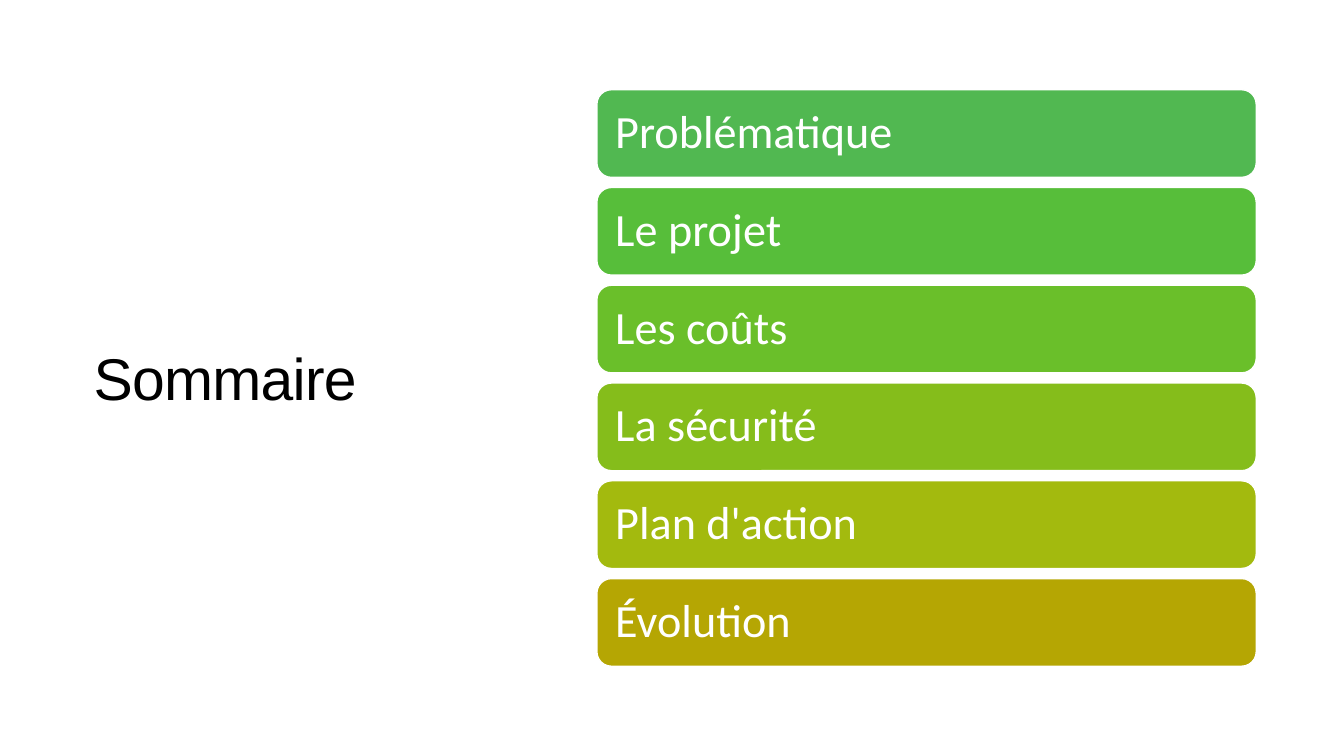
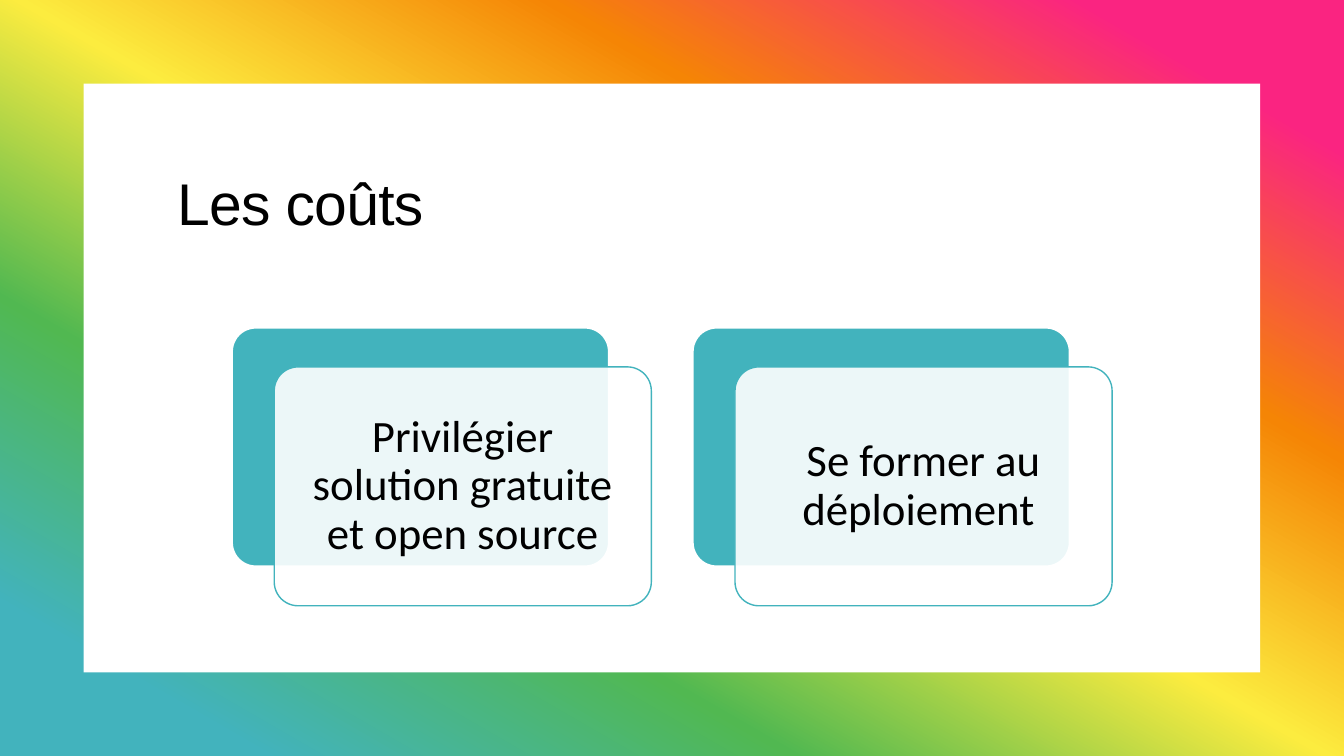
"""Build the summary and cost slides of a project presentation."""
from dataclasses import dataclass

from lxml import etree
from pptx import Presentation
from pptx.dml.color import RGBColor
from pptx.enum.shapes import MSO_SHAPE
from pptx.enum.text import MSO_ANCHOR, PP_ALIGN
from pptx.oxml.ns import qn
from pptx.util import Inches, Pt

RECT = MSO_SHAPE.RECTANGLE
ROUND = MSO_SHAPE.ROUNDED_RECTANGLE
TOP, MIDDLE = MSO_ANCHOR.TOP, MSO_ANCHOR.MIDDLE
LEFT, CENTER = PP_ALIGN.LEFT, PP_ALIGN.CENTER

SLIDE_W, SLIDE_H = 13.33, 7.5
TITLE_FONT, BODY_FONT = "Arial", "Calibri"

COLORS = {
    "white": "FFFFFF",
    "black": "000000",
    "pink": "FA2481",
    "orange": "F58505",
    "yellow": "FCEC3F",
    "green": "51B851",
    "teal": "42B3BD",
    "leaf": "57BE3A",
    "lime": "6ABF2A",
    "apple": "85BD1B",
    "olive": "A3BA0E",
    "mustard": "B5A603",
}
RAINBOW = ((10, "pink"), (30, "orange"), (50, "yellow"), (70, "green"), (90, "teal"))


@dataclass(frozen=True)
class Box:
    """Hold a position and size in inches."""
    x: float
    y: float
    w: float
    h: float

    def moved(self, dx: float, dy: float) -> "Box":
        """Return the same box shifted by dx and dy."""
        return Box(self.x + dx, self.y + dy, self.w, self.h)

    def lengths(self) -> tuple:
        """Return left, top, width and height as lengths."""
        return tuple(Inches(v) for v in (self.x, self.y, self.w, self.h))


@dataclass(frozen=True)
class Topic:
    """Hold one line of the summary."""
    text: str
    color: str


PAGE = Box(0, 0, SLIDE_W, SLIDE_H)
PANEL = Box(0.83, 0.83, 11.67, 5.84)
FIRST_BAR, BAR_PITCH = Box(5.92, 0.89, 6.54, 0.87), 0.97
FIRST_CARD, CARD_PITCH = Box(2.3, 3.25, 3.74, 2.37), 4.57
CARD_SHIFT = (0.42, 0.39)

TOPICS = (
    Topic("Problématique", "green"),
    Topic("Le projet", "leaf"),
    Topic("Les coûts", "lime"),
    Topic("La sécurité", "apple"),
    Topic("Plan d'action", "olive"),
    Topic("Évolution", "mustard"),
)
COSTS = ("Privilégier solution gratuite et open source", "Se former au déploiement ")


def rgb(name: str) -> RGBColor:
    """Return the named colour."""
    return RGBColor.from_string(COLORS[name])


def add_box(s, box: Box, kind=RECT, fill: str = "white", line: str | None = None,
            width: float = 1, adj: float | None = None, opacity: int = 100):
    """Draw a filled shape with an optional outline."""
    sp = s.shapes.add_shape(kind, *box.lengths())
    sp.shadow.inherit = False
    sp.fill.solid()
    sp.fill.fore_color.rgb = rgb(fill)
    if opacity < 100:
        clr = sp.element.spPr.find(qn("a:solidFill")).find(qn("a:srgbClr"))
        etree.SubElement(clr, qn("a:alpha"), val=str(opacity * 1000))
    if line:
        sp.line.color.rgb = rgb(line)
        sp.line.width = Pt(width)
    else:
        sp.line.fill.background()
    if adj is not None:
        sp.adjustments[0] = adj
    return sp


def fill_rainbow(sp) -> None:
    """Fill a shape with the rainbow gradient."""
    sp.fill.gradient()
    sp.fill.gradient_angle = 240
    stops = sp.element.spPr.find(qn("a:gradFill")).find(qn("a:gsLst"))
    for gs in list(stops):
        stops.remove(gs)
    for pos, name in RAINBOW:
        gs = etree.SubElement(stops, qn("a:gs"), pos=str(pos * 1000))
        etree.SubElement(gs, qn("a:srgbClr"), val=COLORS[name])


def write(sp, text: str, size: float, font: str = BODY_FONT, color: str = "black",
          align=LEFT, anchor=MIDDLE, spacing: float = 0.9,
          inset: tuple[float, float] = (0.1, 0.05), tracking: float = 0) -> None:
    """Put one formatted paragraph into a shape."""
    tf = sp.text_frame
    tf.word_wrap = True
    tf.vertical_anchor = anchor
    tf.margin_left = tf.margin_right = Inches(inset[0])
    tf.margin_top = tf.margin_bottom = Inches(inset[1])
    p = tf.paragraphs[0]
    p.alignment = align
    p.line_spacing = spacing
    r = p.add_run()
    r.text = text
    r.font.size = Pt(size)
    r.font.name = font
    r.font.color.rgb = rgb(color)
    if tracking:
        r.font._element.set("spc", str(round(tracking * 100)))


def add_title(s, text: str, box: Box, anchor=TOP) -> None:
    """Write the slide title."""
    write(s.shapes.add_textbox(*box.lengths()), text, 42, font=TITLE_FONT,
          anchor=anchor, spacing=0.95, tracking=-0.5)


def add_summary(s) -> None:
    """Draw the summary slide with one bar per topic."""
    add_title(s, "Sommaire", Box(0.83, 0.85, 4.27, 5.84), anchor=MIDDLE)
    for i, topic in enumerate(TOPICS):
        bar = add_box(s, FIRST_BAR.moved(0, i * BAR_PITCH), ROUND,
                      fill=topic.color, line="white")
        write(bar, topic.text, 33, color="white", inset=(0.14, 0.14))


def add_costs(s) -> None:
    """Draw the cost slide with one layered card per point."""
    fill_rainbow(add_box(s, PAGE))
    add_box(s, PANEL)
    add_title(s, "Les coûts", Box(1.66, 1.66, 10, 1.47))
    for i, text in enumerate(COSTS):
        back = FIRST_CARD.moved(i * CARD_PITCH, 0)
        add_box(s, back, ROUND, fill="teal", line="white", width=1.5, adj=0.1)
        card = add_box(s, back.moved(*CARD_SHIFT), ROUND, line="teal",
                       adj=0.1, opacity=90)
        write(card, text, 32, align=CENTER, inset=(0.13, 0.13))


def main() -> None:
    """Build and save the presentation."""
    prs = Presentation()
    prs.slide_width, prs.slide_height = Inches(SLIDE_W), Inches(SLIDE_H)
    blank = prs.slide_layouts[6]
    for draw in (add_summary, add_costs):
        draw(prs.slides.add_slide(blank))
    prs.save("out.pptx")


if __name__ == "__main__":
    main()
